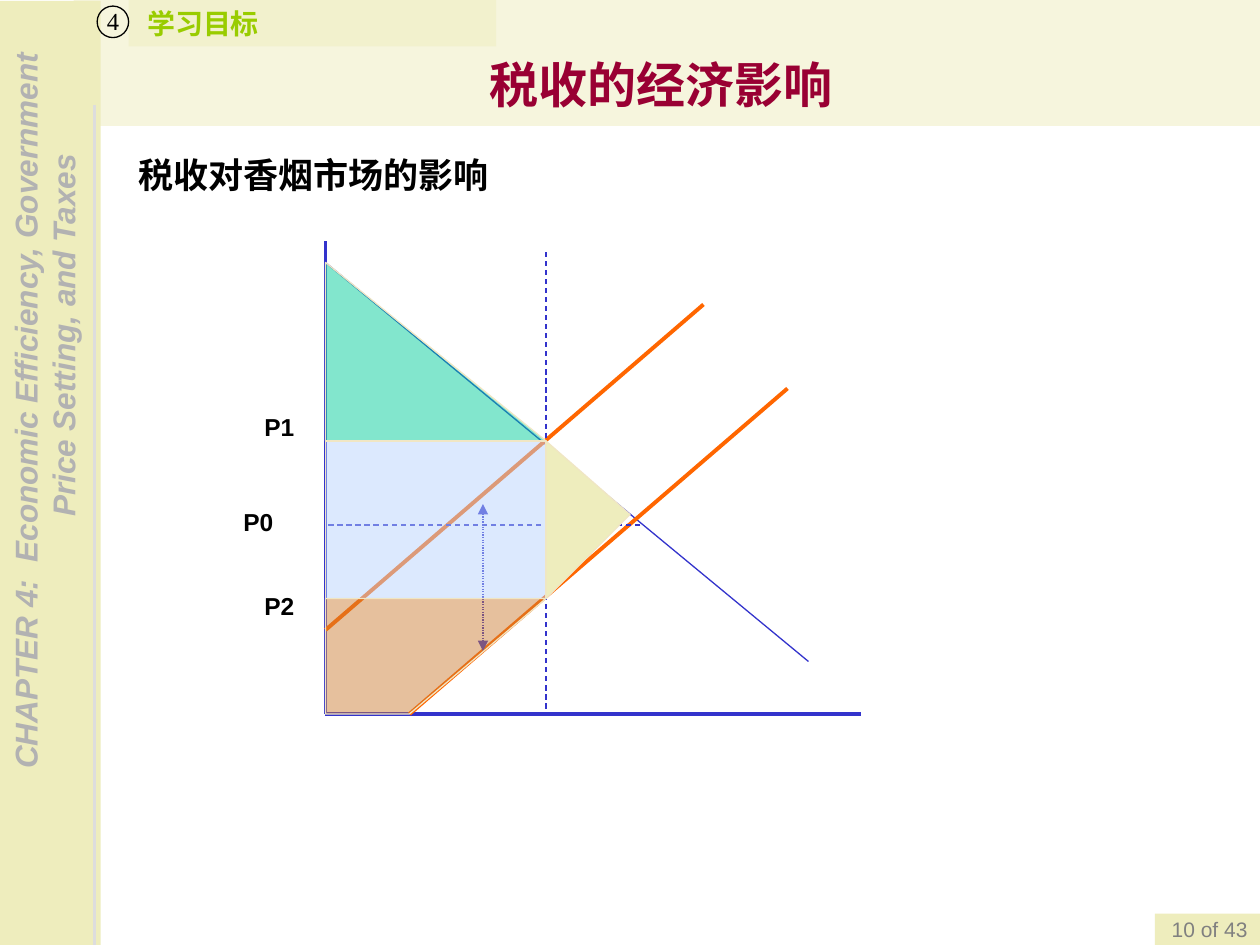
import pptx
import pptx.util
import pptx.dml.color
import pptx.enum.dml
import pptx.enum.shapes
import pptx.enum.text
import pptx.oxml.ns
import lxml.etree

Pt = pptx.util.Pt
qn = pptx.oxml.ns.qn
SHAPES = pptx.enum.shapes.MSO_SHAPE
ALIGN = pptx.enum.text.PP_ALIGN
ANCHOR = pptx.enum.text.MSO_ANCHOR
DASH = pptx.enum.dml.MSO_LINE


def paint(target, color, alpha=100):
    if hasattr(target, "solid"):
        target.solid()
        color_format = target.fore_color
    else:
        color_format = target.color
    color_format.rgb = pptx.dml.color.RGBColor.from_string(color)
    if alpha < 100:
        element = target._xPr.find(qn("a:solidFill"))[0]
        lxml.etree.SubElement(element, qn("a:alpha"), val=str(alpha * 1000))


def write(shape, lines, size, color, bold=False, font="Arial", align=ALIGN.LEFT,
          anchor=ANCHOR.TOP, wrap=True):
    frame = shape.text_frame
    frame.text = lines
    frame.word_wrap = wrap
    frame.vertical_anchor = anchor
    frame.margin_left = frame.margin_right = Pt(7.2)
    frame.margin_top = frame.margin_bottom = Pt(3.6)
    for paragraph in frame.paragraphs:
        paragraph.alignment = align
        paragraph.font.size = Pt(size)
        paragraph.font.name = font
        paragraph.font.bold = bold
        paint(paragraph.font, color)
    return frame


presentation = pptx.Presentation()
presentation.slide_width, presentation.slide_height = Pt(720), Pt(540)
slide = presentation.slides.add_slide(presentation.slide_layouts[5])
shapes = slide.shapes

title = shapes.title
title.left, title.top, title.width, title.height = Pt(42), Pt(0), Pt(678), Pt(72)
paint(title.fill, "EEEDBD", 50)
frame = write(title, "税收的经济影响 ", 28, "990033", True, align=ALIGN.CENTER, anchor=ANCHOR.BOTTOM)
frame.margin_bottom = Pt(7.2)
frame.auto_size = pptx.enum.text.MSO_AUTO_SIZE.NONE

panels = []
for left, top, width, height, alpha in [
    (0, 0.5, 57.5, 540, 100),
    (660, 522, 60, 18, 100),
    (73.5, 0, 210, 26.5, 49),
]:
    panel = shapes.add_shape(SHAPES.RECTANGLE, Pt(left), Pt(top), Pt(width), Pt(height))
    panel.shadow.inherit = False
    panel.line.fill.background()
    paint(panel.fill, "EEEDBD", alpha)
    panels.append(panel)
sidebar, page_number, goal = panels

frame = write(sidebar, "CHAPTER 4:  Economic Efficiency, Government\nPrice Setting, and Taxes",
              18, "B2B2B2", True)
frame.margin_top = Pt(5)
frame._txBody.bodyPr.set("vert", "vert270")
for paragraph, indent in zip(frame.paragraphs, (94, 238)):
    paragraph.font.italic = True
    paragraph._p.get_or_add_pPr().set("marL", str(Pt(indent)))
write(page_number, "10 of 43", 12, "808080", align=ALIGN.RIGHT, anchor=ANCHOR.MIDDLE)
write(goal, " 学习目标", 16, "99CC00", True)

circle = shapes.add_shape(SHAPES.OVAL, Pt(55.5), Pt(3.5), Pt(18), Pt(18))
circle.shadow.inherit = False
circle.fill.background()
circle.line.width = Pt(0.75)
paint(circle.line, "000000")
goal_number = shapes.add_textbox(Pt(54), Pt(0), Pt(21.5), Pt(24.5))
write(goal_number, "4", 14, "000000", font="Times New Roman", wrap=False)
heading = shapes.add_textbox(Pt(72), Pt(84), Pt(240), Pt(31.5))
write(heading, "税收对香烟市场的影响", 20, "000000", True)

axis_x, axis_y, quantity = 186, 408, 312
price_1, price_0, price_2 = 252, 300, 342
for x1, y1, x2, y2, color, width, dash in [
    (54, 60, 54, 540, "DDDDDD", 2, None),
    (axis_x, 138, axis_x, axis_y, "3333CC", 2.25, None),
    (axis_x, axis_y, 492, axis_y, "3333CC", 2.25, None),
    (axis_x, 150, 462, 378, "3333CC", 0.75, None),
    (402, 174, axis_x, 360, "FF6600", 2.25, None),
    (450, 222, 234, axis_y, "FF6600", 2.25, None),
    (276, 288, 276, 372, "3333CC", 0.75, DASH.ROUND_DOT),
    (quantity, 144, quantity, axis_y, "3333CC", 0.75, DASH.DASH),
    (306, price_1, axis_x, price_1, "3333CC", 0.75, DASH.DASH),
    (quantity, price_2, axis_x, price_2, "3333CC", 0.75, DASH.DASH),
    (366, price_0, axis_x, price_0, "3333CC", 0.75, DASH.DASH),
]:
    connector = shapes.add_connector(pptx.enum.shapes.MSO_CONNECTOR.STRAIGHT,
                                     Pt(x1), Pt(y1), Pt(x2), Pt(y2))
    paint(connector.line, color)
    connector.line.width = Pt(width)
    if dash:
        connector.line.dash_style = dash
    if dash == DASH.ROUND_DOT:
        for end in ("a:headEnd", "a:tailEnd"):
            lxml.etree.SubElement(connector.line._ln, qn(end), type="triangle")
    lxml.etree.SubElement(connector._element.spPr, qn("a:effectLst"))

for color, alpha, points in [
    ("00CC99", 49, [(axis_x, 150), (quantity, price_1), (axis_x, price_1)]),
    ("CC7C33", 48, [(axis_x, price_2), (quantity, price_2), (234, axis_y), (axis_x, axis_y)]),
    ("B6D3FE", 48, [(axis_x, price_1 + 0.5), (quantity, price_1),
                    (quantity, price_2), (axis_x, price_2)]),
    ("EEEDBD", 100, [(quantity, price_1), (360, 294), (quantity, price_2)]),
]:
    builder = shapes.build_freeform(*points[0], scale=Pt(1))
    builder.add_line_segments(points[1:], close=True)
    area = builder.convert_to_shape()
    area.shadow.inherit = False
    paint(area.fill, color, alpha)
    paint(area.line, "F0E6C4")
    area.line.width = Pt(0.75)

for label, left, top, width in [("P1", 144, 234, 42), ("P2", 144, 336, 36), ("P0", 132, 288, 36)]:
    price_label = shapes.add_textbox(Pt(left), Pt(top), Pt(width), Pt(22.5))
    frame = write(price_label, label, 14, "000000", True)
    frame.paragraphs[0].line_spacing = 0.9

presentation.save("out.pptx")
